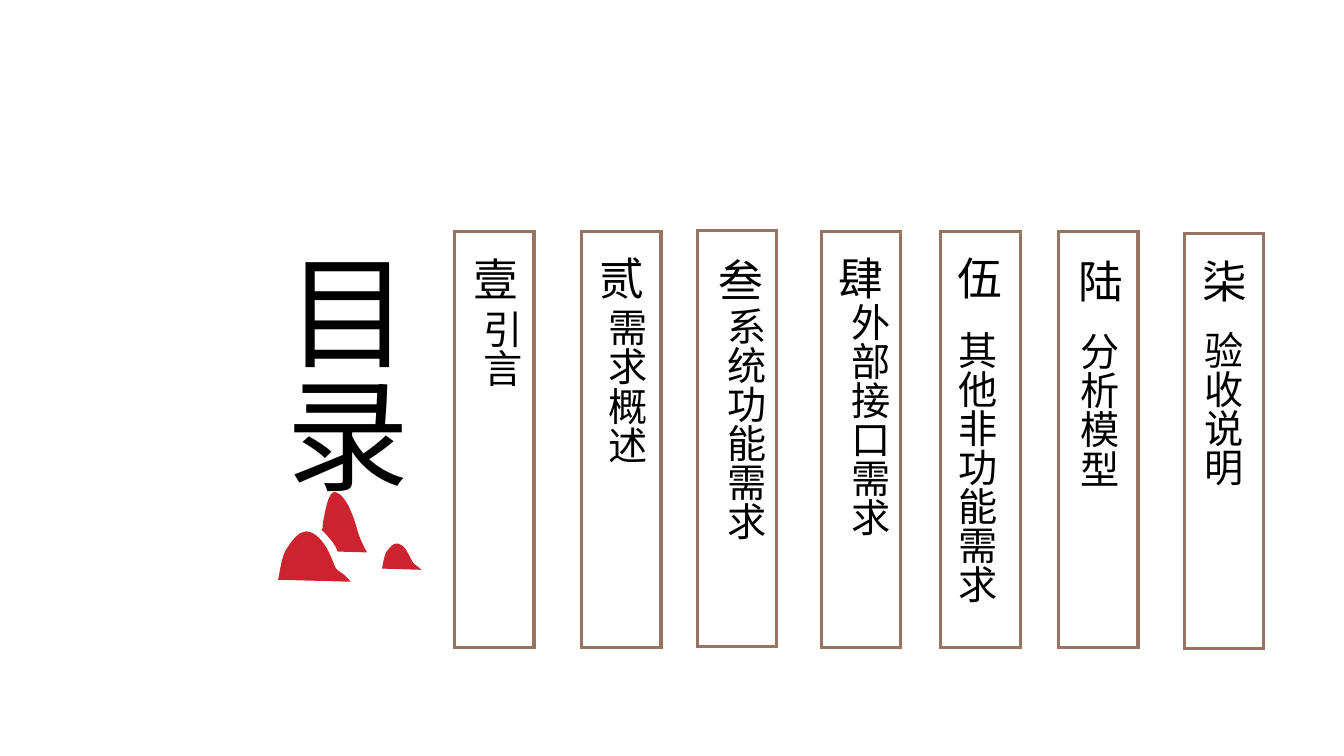
from lxml import etree
from pptx import Presentation
from pptx import util as u
from pptx.dml import color as clr
from pptx.enum import shapes, text
from pptx.oxml import ns

HUES = {"ink": "000000", "frame": "987362", "hill": "CD232E"}
FACE = "Noto Sans CJK SC"
TOP, MID = text.MSO_ANCHOR.TOP, text.MSO_ANCHOR.MIDDLE
CARD = (2, 10.47)

# Card left and top; numeral and label as text with a box relative to the card
CARDS = [
    (11.46, 5.84, "壹", (0.23, 0.38, 0.97, 1.63), "引言", (0.2, 1.73, 1.7, 9.27), TOP),
    (14.66, 5.84, "贰", (0.2, 0.35, 0.97, 1.63), "需求概述", (0.15, 1.68, 1.7, 9.27), TOP),
    (17.58, 5.82, "叁", (0.28, 0.43, 0.97, 1.63), "系统功能需求", (0.23, 1.66, 1.7, 9.27), TOP),
    (20.7, 5.84, "肆", (0.18, 0.35, 0.97, 1.63), "外部接口需求", (0.23, 1.54, 1.7, 9.68), TOP),
    (23.71, 5.84, "伍", (0.17, 0.1, 1.45, 1.83), "其他非功能需求", (0.04, 2.24, 1.96, 9.63), MID),
    (26.68, 5.84, "陆", (0.24, 0.18, 1.5, 1.83), "分析模型", (0.15, 2.28, 1.96, 6.32), MID),
    (29.85, 5.88, "柒", (0.21, 0.15, 1.35, 1.83), "验收说明", (0.11, 2.2, 1.96, 6.86), MID),
]

# Hill outlines: a pair is a straight step, six numbers are a Bezier curve
HILLS = [
    [(2.62, 1.93), (2.64, 1.8, 2.67, 1.63, 2.72, 1.52),
     (2.82, 1.4, 2.95, 1.14, 3.2, 1.42), (3.3, 1.57, 3.35, 1.7, 3.4, 1.78),
     (3.45, 1.85, 3.48, 1.83, 3.61, 1.96)],
    [(1.42, 0), (1.5, 0, 1.63, 0.08, 1.78, 0.36),
     (2.06, 0.97, 1.91, 0.91, 2.24, 1.52), (1.5, 1.5), (1.47, 1.42),
     (1.42, 1.32, 1.35, 1.22, 1.27, 1.14), (1.22, 1.07, 1.17, 1.02, 1.12, 0.97),
     (1.09, 0.97), (1.12, 0.91), (1.12, 0.81, 1.14, 0.71, 1.17, 0.56),
     (1.22, 0.3, 1.3, 0, 1.42, 0)],
    [(0, 2.21), (0.05, 1.98, 0.08, 1.65, 0.2, 1.45),
     (0.36, 1.22, 0.64, 0.69, 1.09, 1.22), (1.3, 1.47, 1.37, 1.75, 1.45, 1.91),
     (1.57, 2.06, 1.6, 1.98, 1.83, 2.26)],
]


def hue(key):
    return clr.RGBColor.from_string(HUES[key])


def put(item, vals):
    for key, val in vals.items():
        setattr(item, key, val)


def write(slide, box, words, size, anchor=TOP, tall=False):
    """Add a text box, set upright in a column when tall."""
    frame = slide.shapes.add_textbox(*map(u.Cm, box)).text_frame
    put(frame, {"word_wrap": True, "vertical_anchor": anchor,
                "auto_size": text.MSO_AUTO_SIZE.SHAPE_TO_FIT_TEXT})
    if tall:
        frame._txBody.bodyPr.set("vert", "eaVert")
    para = frame.paragraphs[0]
    if anchor == MID:
        para.line_spacing = 1.2
    run = para.add_run()
    run.text = words
    put(run.font, {"size": u.Pt(size), "name": FACE})
    run.font.color.rgb = hue("ink")
    east = etree.SubElement(run._r.get_or_add_rPr(), ns.qn("a:ea"))
    east.set("typeface", FACE)


def bend(hill, steps):
    """Join each three straight segments of a curved step into one Bezier."""
    lines = iter(list(hill._element.iter(ns.qn("a:lnTo"))))
    for step in steps[1:]:
        head = next(lines)
        if len(step) == 2:
            continue
        curve = etree.Element(ns.qn("a:cubicBezTo"))
        head.addprevious(curve)
        for line in (head, next(lines), next(lines)):
            curve.append(line[0])
            line.getparent().remove(line)


def draw_hills(slide, left, top):
    for steps in HILLS:
        pts = [(u.Cm(left + step[i]), u.Cm(top + step[i + 1]))
               for step in steps for i in range(0, len(step), 2)]
        pen = slide.shapes.build_freeform(*pts[0])
        pen.add_line_segments(pts[1:], close=True)
        hill = pen.convert_to_shape()
        bend(hill, steps)
        hill.shadow.inherit = False
        hill.fill.solid()
        hill.fill.fore_color.rgb = hue("hill")
        hill.line.fill.background()


def draw_card(slide, left, top, num, num_box, label, label_box, anchor):
    # Frame with sharp corners
    card = slide.shapes.add_shape(shapes.MSO_SHAPE.RECTANGLE,
                                  *map(u.Cm, (left, top, *CARD)))
    card.shadow.inherit = False
    card.fill.background()
    card.line.color.rgb = hue("frame")
    card.line.width = u.Pt(2.25)
    edge = card._element.spPr.find(ns.qn("a:ln"))
    etree.SubElement(edge, ns.qn("a:miter")).set("lim", "800000")
    # Numeral and label
    for words, (x, y, w, h), size, tall in ((num, num_box, 32, False),
                                            (label, label_box, 28, True)):
        write(slide, (left + x, top + y, w, h), words, size, anchor, tall)


def draw_title(slide, left, top):
    write(slide, (left, top, 4.27, 6.86), "目录", 88, tall=True)
    draw_hills(slide, left + 0.63, top + 6.35)


def main():
    deck = Presentation()
    put(deck, {"slide_width": u.Cm(33.87), "slide_height": u.Cm(19.05)})
    slide = deck.slides.add_slide(deck.slide_layouts[6])
    draw_title(slide, 6.38, 6.05)
    for card in CARDS:
        draw_card(slide, *card)
    deck.save("out.pptx")


if __name__ == "__main__":
    main()
